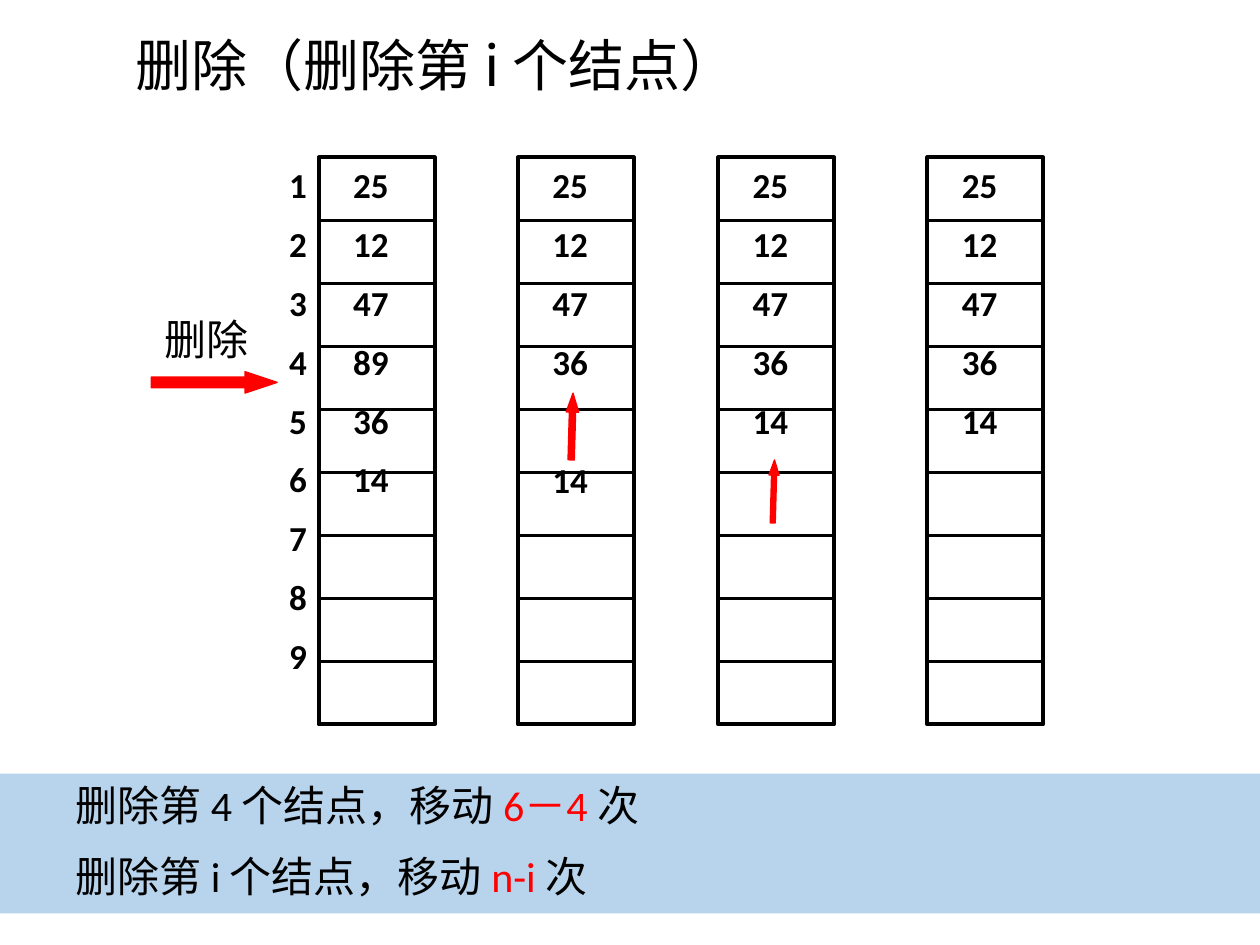
from lxml.etree import SubElement
from pptx import Presentation
from pptx.dml.color import RGBColor
from pptx.enum.shapes import MSO_CONNECTOR as CONN, MSO_SHAPE as SHAPE
from pptx.enum.text import MSO_ANCHOR as ANCHOR, PP_ALIGN as ALIGN
from pptx.oxml.ns import qn
from pptx.util import Inches, Pt

BLACK, WHITE, RED, BLUE = "000000", "FFFFFF", "FF0000", "B8D4EC"
LATIN, CJK = "Calibri", "Noto Sans CJK SC"
ROW, ROWS = 0.5, 9              # list cells
TOP, COL_W, TEXT_W = 1.25, 0.92, 0.83
GAP, STEP = 0.48, 1.7           # paragraph gap and line step, per point of size


def color(hex_str):
    return RGBColor.from_string(hex_str)


def add_shape(slide, kind, box, fill, line=None, width=0.75):
    sp = slide.shapes.add_shape(kind, *map(Inches, box))
    sp.shadow.inherit = False
    sp.fill.solid()
    sp.fill.fore_color.rgb = color(fill)
    if line:
        sp.line.color.rgb = color(line)
        sp.line.width = Pt(width)
    else:
        sp.line.fill.background()
    return sp


def add_arrow(slide, kind, box, rotation=0):
    sp = add_shape(slide, kind, box, RED, RED)
    sp.adjustments[0], sp.adjustments[1] = 0.5, 1.5
    sp.rotation = rotation


def add_line(slide, x1, y1, x2, y2):
    ln = slide.shapes.add_connector(CONN.STRAIGHT, *map(Inches, (x1, y1, x2, y2)))
    ln.line.color.rgb = color(BLACK)
    ln.line.width = Pt(2.25)
    SubElement(ln._element.spPr, qn("a:effectLst"))


def fill_text(tf, lines, size, font=LATIN, bold=False, align=ALIGN.CENTER):
    """Each line is a list of (text, colour) runs; None skips one line."""
    tf.word_wrap = True
    started, skipped = False, 0
    for runs in lines:
        if runs is None:
            skipped += 1
            continue
        p = tf.add_paragraph() if started else tf.paragraphs[0]
        p.alignment = align
        if started:
            p.space_before = Pt(round(size * (GAP + STEP * skipped), 1))
        started, skipped = True, 0
        for text, hex_str in runs:
            r = p.add_run()
            r.text = text
            r.font.size, r.font.name, r.font.bold = Pt(size), font, bold
            r.font.color.rgb = color(hex_str)


def add_text(slide, box, lines, size, **style):
    tf = slide.shapes.add_textbox(*map(Inches, box)).text_frame
    fill_text(tf, lines, size, **style)
    return tf


def add_numbers(slide, x, values):
    lines = [None if v is None else [(str(v), BLACK)] for v in values]
    height = round(ROW * len(values), 2)
    add_text(slide, (x, TOP, TEXT_W, height), lines, 20, bold=True)


def list_column(slide, x, values):
    add_shape(slide, SHAPE.RECTANGLE, (x, TOP, COL_W, ROW * ROWS), WHITE, BLACK, 2.25)
    for i in range(1, ROWS):
        y = TOP + ROW * i
        add_line(slide, x, y, x + COL_W, y)
    add_numbers(slide, x, values)


def title(slide, box):
    tf = add_text(slide, box, [[("删除（删除第 i 个结点）", BLACK)]], 32,
                  font=CJK, align=ALIGN.LEFT)
    tf.vertical_anchor = ANCHOR.MIDDLE
    for r in tf.paragraphs[0].runs:
        SubElement(r._r.get_or_add_rPr(), qn("a:ea")).set("typeface", CJK)


def delete_mark(slide, x, y):
    add_text(slide, (x - 0.02, y - 0.51, COL_W, 0.51), [[("删除", BLACK)]], 24)
    add_arrow(slide, SHAPE.RIGHT_ARROW, (x, y, 1, 0.17))


def summary_band(slide, box):
    tf = add_shape(slide, SHAPE.RECTANGLE, box, BLUE).text_frame
    tf.vertical_anchor = ANCHOR.TOP
    cases = [("4", "6－4"), ("i", "n-i")]
    lines = [[(f"删除第 {node} 个结点，移动 ", BLACK), (f"{moves} ", RED), ("次", BLACK)]
             for node, moves in cases]
    fill_text(tf, lines, 24, align=ALIGN.LEFT)
    for p in tf.paragraphs:
        pPr = p._p.get_or_add_pPr()
        pPr.set("marL", str(Inches(0.5)))
        pPr.set("indent", "0")


def main():
    prs = Presentation()
    prs.slide_width, prs.slide_height = Inches(10), Inches(7.5)
    slide = prs.slides.add_slide(prs.slide_layouts[6])

    # List after each step, with row numbers on the left
    states = [
        (2.53, [25, 12, 47, 89, 36, 14]),
        (4.11, [25, 12, 47, 36, None, 14]),
        (5.70, [25, 12, 47, 36, 14]),
        (7.36, [25, 12, 47, 36, 14]),
    ]
    for x, values in states:
        list_column(slide, x, values)
    add_numbers(slide, 1.95, range(1, ROWS + 1))

    # Deleted row and the moves upward
    delete_mark(slide, 1.2, 2.95)
    for box in [(4.49, 3.12, 0.1, 0.53), (6.1, 3.65, 0.08, 0.5)]:
        add_arrow(slide, SHAPE.DOWN_ARROW, box, 181.6)

    title(slide, (0.98, 0.23, 7.77, 0.56))
    summary_band(slide, (0, 6.14, 10, 1.11))
    prs.save("out.pptx")


if __name__ == "__main__":
    main()
